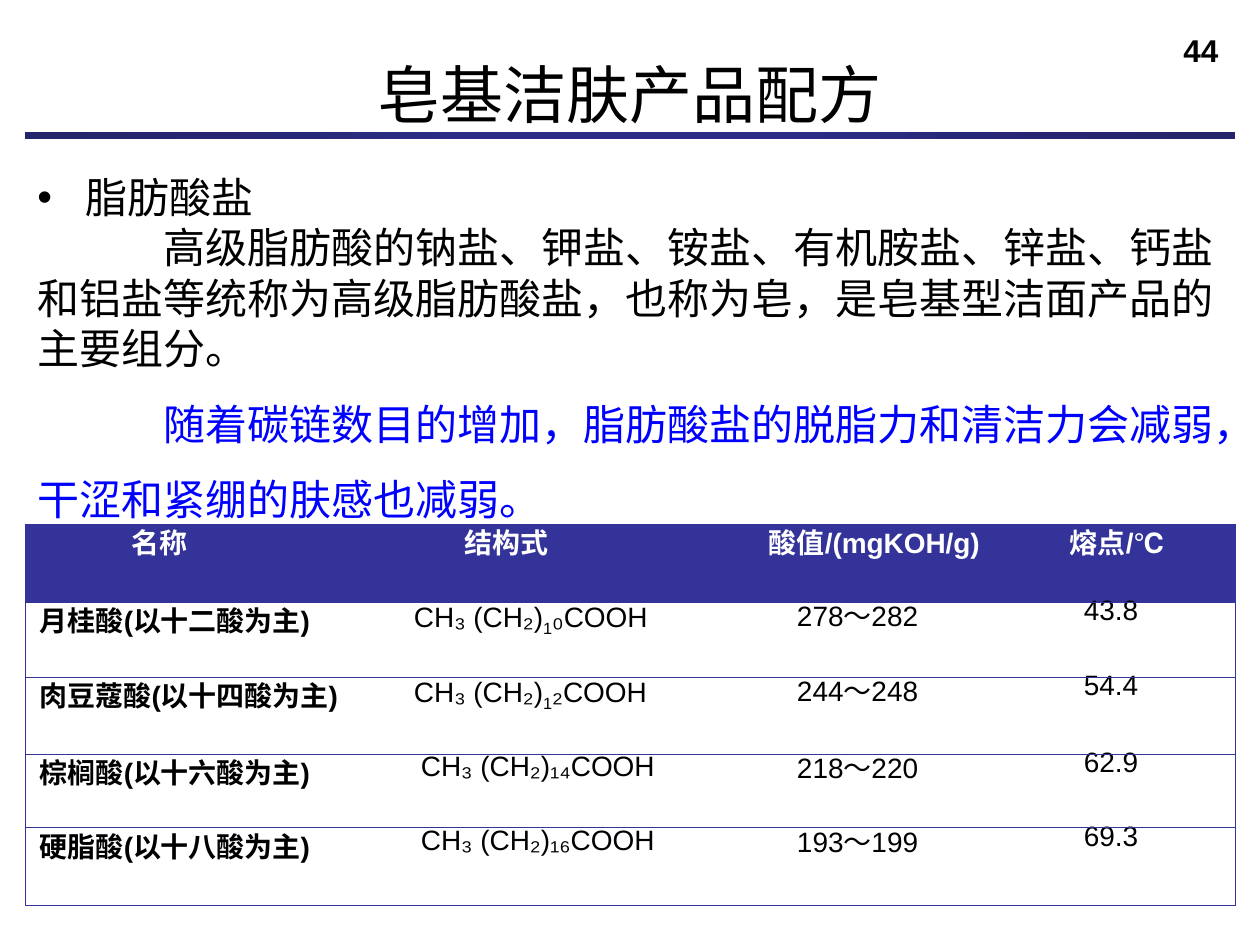
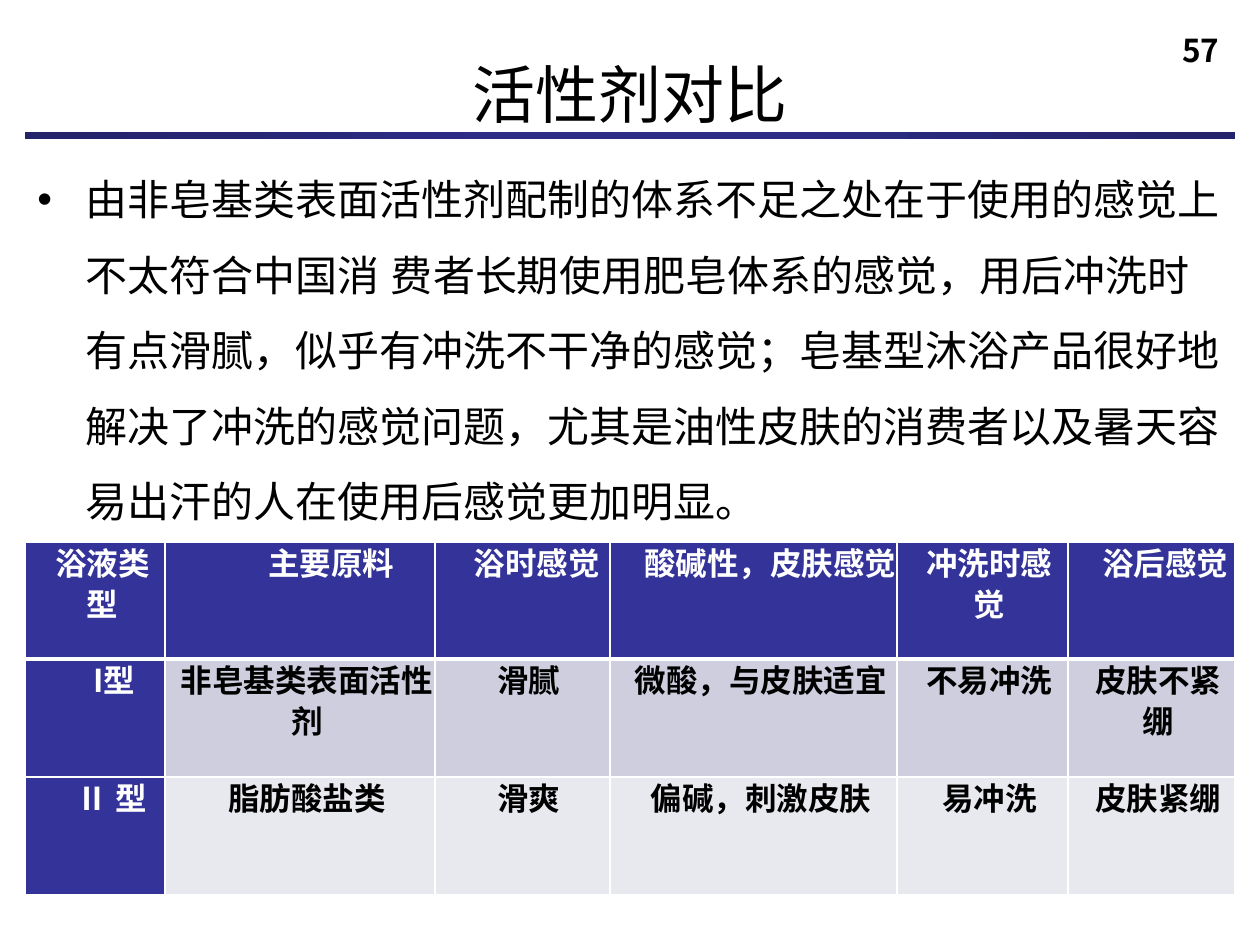
from lxml.etree import SubElement
from pptx import Presentation
from pptx.dml.color import RGBColor
from pptx.enum.shapes import MSO_SHAPE as Preset
from pptx.enum.text import PP_ALIGN as Align
from pptx.oxml import parse_xml
from pptx.oxml.ns import nsdecls, qn
from pptx.util import Emu, Pt

PX_PER_INCH = 126
SLIDE_SIZE = (1260, 945)
LEFT, WIDTH = 25, 1210
SANS, SANS_TITLE, ARIAL = "Noto Sans CJK SC", "Noto Sans CJK TC", "Arial"
BLACK, WHITE, BLUE, INDIGO = "000000", "FFFFFF", "0000FF", "333399"
BAND_STOPS = [(0, "2D2D88"), (23, "2D2D88"), (69, "262673"), (97, "24246B")]
ROW_TINTS = ["CECEDE", "E8E8EF"]
BULLET_INDENT = 48


def px(length):
    return Emu(round(length * 914400 / PX_PER_INCH))


def color(value):
    return RGBColor.from_string(value)


# Text
def write(paragraph, text, size, font=SANS, east=SANS, ink=BLACK, bold=False, **layout):
    """Write one paragraph; the parts between bars are subscripts."""
    for name, value in layout.items():
        setattr(paragraph, name, value)
    for index, part in enumerate(text.split("|")):
        run = paragraph.add_run()
        run.text = part
        for name, value in {"size": Pt(size), "bold": bold, "name": font}.items():
            setattr(run.font, name, value)
        run.font.color.rgb = color(ink)
        properties = run._r.get_or_add_rPr()
        SubElement(properties, qn("a:ea")).set("typeface", east)
        if index % 2:
            properties.set("baseline", "-25000")


def add_text_box(slide, box):
    frame = slide.shapes.add_textbox(*map(px, box)).text_frame
    frame.word_wrap = True
    return frame


def indent(paragraph, left, first, bullet=None):
    properties = paragraph._p.get_or_add_pPr()
    properties.set("marL", str(px(left)))
    properties.set("indent", str(px(first)))
    if bullet:
        SubElement(properties, qn("a:buFont")).set("typeface", ARIAL)
        SubElement(properties, qn("a:buChar")).set("char", bullet)


# Shared header: number, band and title
def add_header(slide, title, number, number_font):
    frame = add_text_box(slide, (1143, 25, 116, 59))
    write(frame.paragraphs[0], number, 18, number_font, bold=True, alignment=Align.CENTER)

    band = slide.shapes.add_shape(Preset.RECTANGLE, *map(px, (LEFT, 132, WIDTH, 7)))
    band.shadow.inherit = False
    band.line.fill.background()
    stops = "".join(
        f'<a:gs pos="{position * 1000}"><a:srgbClr val="{value}"/></a:gs>'
        for position, value in BAND_STOPS)
    gradient = parse_xml(
        f'<a:gradFill {nsdecls("a")}><a:gsLst>{stops}</a:gsLst><a:path path="circle">'
        '<a:fillToRect l="50000" t="50000" r="50000" b="50000"/></a:path></a:gradFill>')
    band._element.spPr.find(qn("a:prstGeom")).addnext(gradient)

    frame = add_text_box(slide, (0, 49, 1260, 89))
    write(frame.paragraphs[0], title, 36, SANS_TITLE, SANS_TITLE, alignment=Align.CENTER)


# Body: a list of (text, kind, ink, line spacing)
def add_body(slide, top, items):
    frame = add_text_box(slide, (LEFT, top, WIDTH, 383))
    for index, (text, kind, ink, spacing) in enumerate(items):
        paragraph = frame.add_paragraph() if index else frame.paragraphs[0]
        if kind == "bullet":
            indent(paragraph, BULLET_INDENT, -BULLET_INDENT, "•")
        else:
            indent(paragraph, 0, PX_PER_INCH)
        write(paragraph, text, 24, ARIAL, ARIAL, ink, line_spacing=spacing)


# Tables
def set_borders(cell, borders):
    """Borders are (colour, points) or None, in the order L, R, T, B."""
    properties = cell._tc.get_or_add_tcPr()
    for side, border in zip("LRTB", borders):
        line = SubElement(properties, qn(f"a:ln{side}"))
        if border:
            ink, points = border
            line.set("w", str(Pt(points)))
            fill = SubElement(line, qn("a:solidFill"))
            SubElement(fill, qn("a:srgbClr")).set("val", ink)
        else:
            line.set("w", "0")
            SubElement(line, qn("a:noFill"))


def add_table(slide, top, columns, heights, rows, style_cell):
    """style_cell(row, column) gives fill, borders, left margin and text format."""
    box = (LEFT, top, sum(columns), sum(heights))
    table = slide.shapes.add_table(len(heights), len(columns), *map(px, box)).table
    for column, width in zip(table.columns, columns):
        column.width = px(width)
    for row, height in zip(table.rows, heights):
        row.height = px(height)
    for r, texts in enumerate(rows):
        for c, text in enumerate(texts):
            cell = table.cell(r, c)
            fill, borders, margin, text_format = style_cell(r, c)
            set_borders(cell, borders)
            if fill:
                cell.fill.solid()
                cell.fill.fore_color.rgb = color(fill)
            else:
                cell.fill.background()
            for side in ("top", "bottom", "right"):
                setattr(cell, f"margin_{side}", 0)
            cell.margin_left = px(margin)
            write(cell.text_frame.paragraphs[0], text, **text_format)


def style_acid_cell(row, column):
    header = row == 0
    rule = (INDIGO, 0.5)
    borders = [rule if column == 0 else None, rule if column == 3 else None, rule, rule]
    if header:
        margin = (107, 111, 49, 48)[column]
    else:
        margin = (15, 60 if row < 3 else 67, 77, 62)[column]
    text_format = {
        "size": 16, "font": ARIAL, "ink": WHITE if header else BLACK,
        "bold": header or column == 0,
        "line_spacing": 0.91 if header or column < 2 else 0.76}
    return INDIGO if header else None, borders, margin, text_format


def style_bath_cell(row, column):
    dark = row == 0 or column == 0
    thin, thick = (WHITE, 1), (WHITE, 3)
    borders = [thin, thin, thick if row == 1 else thin, thick if row == 0 else thin]
    margins = [(15, 63, 29, 34, 14, 28), (39, 14, 13, 15, 14, 14), (33, 14, 13, 15, 14, 14)]
    text_format = {"size": 18, "ink": WHITE if dark else BLACK, "bold": True,
                   "alignment": Align.CENTER, "line_spacing": 0.91}
    return INDIGO if dark else ROW_TINTS[row - 1], borders, margins[row][column], text_format


# Slides
def add_formula_slide(slide):
    add_header(slide, "皂基洁肤产品配方", "44", ARIAL)
    add_body(slide, 140, [
        ("脂肪酸盐", "bullet", BLACK, 1.5),
        ("高级脂肪酸的钠盐、钾盐、铵盐、有机胺盐、锌盐、钙盐和铝盐等统称为高级脂肪酸盐，"
         "也称为皂，是皂基型洁面产品的主要组分。", "indented", BLACK, 1.0),
        ("随着碳链数目的增加，脂肪酸盐的脱脂力和清洁力会减弱，干涩和紧绷的肤感也减弱。",
         "indented", BLUE, 1.5),
    ])
    add_table(slide, 524, [329, 366, 302, 213], [78, 75, 77, 74, 78], [
        ("名称", "结构式", "酸值/(mgKOH/g)", "熔点/℃"),
        ("月桂酸(以十二酸为主)", "CH₃ (CH₂)|1|₀COOH", "278～282", "43.8"),
        ("肉豆蔻酸(以十四酸为主)", "CH₃ (CH₂)|1|₂COOH", "244～248", "54.4"),
        ("棕榈酸(以十六酸为主)", "CH₃ (CH₂)₁₄COOH", "218～220", "62.9"),
        ("硬脂酸(以十八酸为主)", "CH₃ (CH₂)₁₆COOH", "193～199", "69.3"),
    ], style_acid_cell)


def add_comparison_slide(slide):
    add_header(slide, "活性剂对比", "57", SANS)
    add_body(slide, 142, [
        ("由非皂基类表面活性剂配制的体系不足之处在于使用的感觉上不太符合中国消 费者长期使用"
         "肥皂体系的感觉，用后冲洗时有点滑腻，似乎有冲洗不干净的感觉；皂基型沐浴产品很好地"
         "解决了冲洗的感觉问题，尤其是油性皮肤的消费者以及暑天容易出汗的人在使用后感觉更加明显。",
         "bullet", BLACK, 1.5),
    ])
    add_table(slide, 542, [140, 270, 175, 287, 171, 167], [117, 118, 118], [
        ("浴液类型", "主要原料", "浴时感觉", "酸碱性，皮肤感觉", "冲洗时感觉", "浴后感觉"),
        ("I型", "非皂基类表面活性剂", "滑腻", "微酸，与皮肤适宜", "不易冲洗", "皮肤不紧绷"),
        ("Ⅱ 型", "脂肪酸盐类", "滑爽", "偏碱，刺激皮肤", "易冲洗", "皮肤紧绷"),
    ], style_bath_cell)


def main():
    presentation = Presentation()
    presentation.slide_width, presentation.slide_height = map(px, SLIDE_SIZE)
    blank = presentation.slide_layouts[6]
    for build in (add_formula_slide, add_comparison_slide):
        build(presentation.slides.add_slide(blank))
    presentation.save("out.pptx")


if __name__ == "__main__":
    main()
